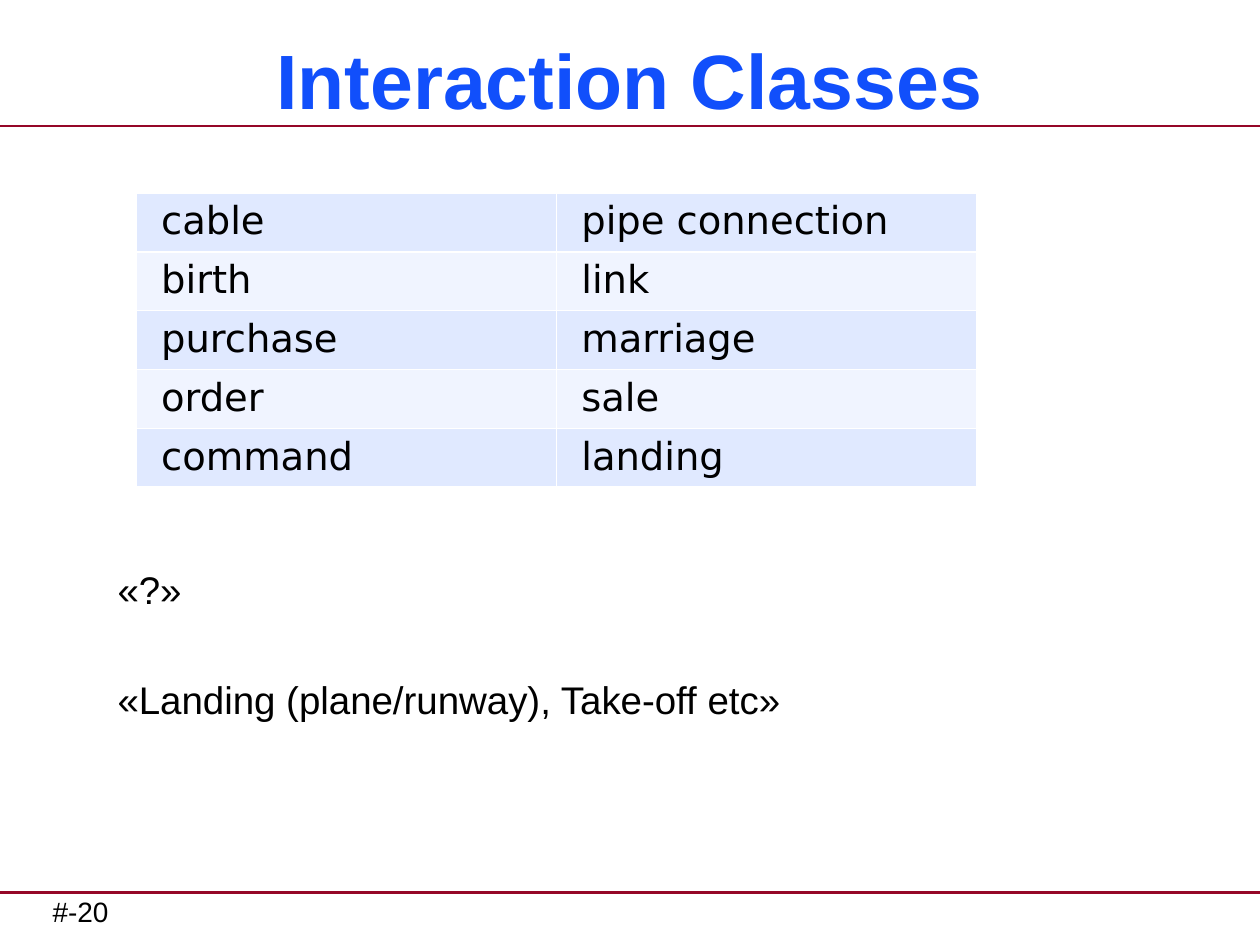
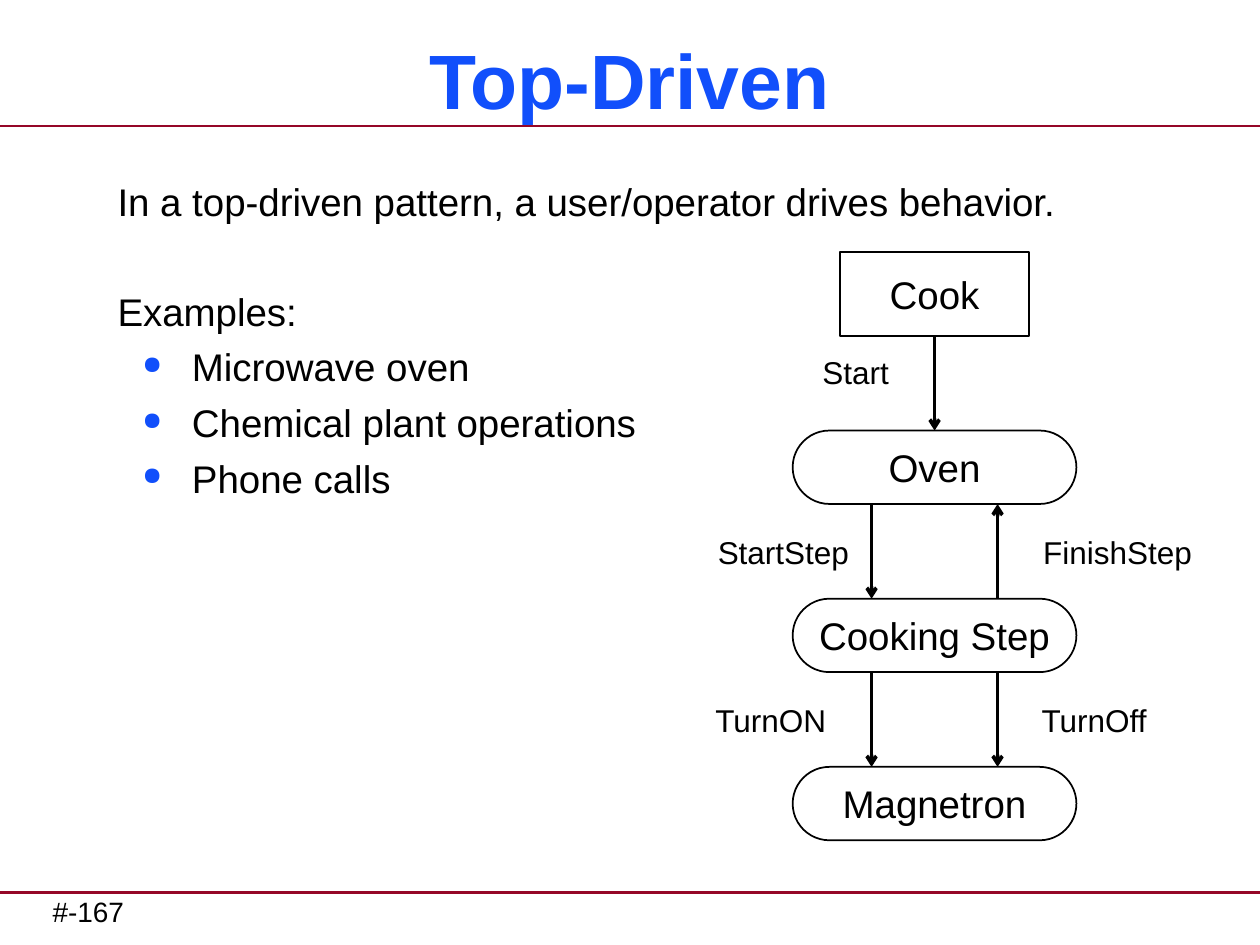
from dataclasses import dataclass
from lxml import etree
from pptx import Presentation
from pptx.dml.color import RGBColor
from pptx.enum.shapes import MSO_CONNECTOR, MSO_SHAPE
from pptx.enum.text import MSO_ANCHOR, PP_ALIGN
from pptx.oxml import parse_xml
from pptx.oxml.ns import nsdecls, qn
from pptx.util import Cm, Pt

RECT = MSO_SHAPE.RECTANGLE
PILL = MSO_SHAPE.ROUNDED_RECTANGLE
LINE = MSO_CONNECTOR.STRAIGHT
MID = MSO_ANCHOR.MIDDLE
TOP = MSO_ANCHOR.TOP
LEFT = PP_ALIGN.LEFT
CENTER = PP_ALIGN.CENTER


@dataclass(frozen=True)
class Theme:
    ink: str = "000000"
    blue: str = "114FFB"
    red: str = "950728"
    white: str = "FFFFFF"
    bands: tuple = ("E0E9FF", "F0F4FF")
    face: str = "Arial"
    grid: str = "DejaVu Sans"
    head: int = 44
    body: int = 22
    label: int = 18
    foot: int = 16
    gap: float = 5.4
    skip: float = 36.1


theme = Theme()
plain = {"name": theme.face, "size": Pt(theme.body), "bold": False}
bold = {**plain, "size": Pt(theme.head), "bold": True}
small = {**plain, "size": Pt(theme.label)}
tiny = {**plain, "size": Pt(theme.foot)}
cells = {**plain, "name": theme.grid}


def write(frame, lines, fmt, hue=theme.ink, align=LEFT, anchor=TOP, wrap=True):
    frame.word_wrap = wrap
    frame.vertical_anchor = anchor
    for i, (text, gap) in enumerate(lines):
        para = frame.paragraphs[0] if i == 0 else frame.add_paragraph()
        para.alignment = align
        para.space_before = Pt(gap)
        run = para.add_run()
        run.text = text
        for key, value in fmt.items():
            setattr(run.font, key, value)
        run.font.color.rgb = RGBColor.from_string(hue)


def draw(slide, start, end, hue, width, arrow=False):
    line = slide.shapes.add_connector(LINE, *map(Cm, start + end))
    line.line.color.rgb = RGBColor.from_string(hue)
    line.line.width = Pt(width)
    if arrow:
        tail = etree.SubElement(line.line._get_or_add_ln(), qn("a:tailEnd"))
        tail.set("type", "arrow")
    etree.SubElement(line._element.spPr, qn("a:effectLst"))


deck = Presentation()
deck.slide_width, deck.slide_height = Cm(25.4), Cm(19.05)
pages = [
    ("Interaction Classes", "#-20", 11.29, [
        ("«?»", 0),
        ("«Landing (plane/runway), Take-off etc»", theme.skip),
    ]),
    ("Top-Driven", "#-167", 3.47, [
        ("In a top-driven pattern, a user/operator drives behavior.", 0),
        ("Examples:", theme.skip),
        ("Microwave oven", theme.gap),
        ("Chemical plant operations", theme.gap),
        ("Phone calls", theme.gap),
    ]),
]
slides, bodies = [], []
for title, number, top, lines in pages:
    slide = deck.slides.add_slide(deck.slide_layouts[6])
    for y in (2.54, 17.99):
        draw(slide, (0, y), (25.4, y), theme.red, 1.5)
    foot = slide.shapes.add_textbox(Cm(1.06), Cm(17.91), Cm(12.28), Cm(0.94))
    foot.text_frame.margin_left = foot.text_frame.margin_right = 0
    write(foot.text_frame, [(number, 0)], tiny)
    head = slide.shapes.add_textbox(Cm(0.42), Cm(0.64), Cm(24.55), Cm(1.9))
    write(head.text_frame, [(title, 0)], bold, theme.blue, CENTER, MID)
    body = slide.shapes.add_textbox(Cm(2.12), Cm(top), Cm(22.44), Cm(17.6 - top))
    write(body.text_frame, lines, plain)
    slides.append(slide)
    bodies.append(body)

classes, driven = slides
words = [
    ("cable", "pipe connection"),
    ("birth", "link"),
    ("purchase", "marriage"),
    ("order", "sale"),
    ("command", "landing"),
]
table = classes.shapes.add_table(
    len(words), 2, Cm(2.75), Cm(3.89), Cm(16.94), Cm(5.8)).table
table.first_row = table.horz_banding = False
for r, pair in enumerate(words):
    for c, word in enumerate(pair):
        cell = table.cell(r, c)
        cell.margin_left = Cm(0.5)
        props = cell._tc.get_or_add_tcPr()
        for side in ("lnL", "lnR", "lnT", "lnB"):
            props.append(parse_xml(
                f'<a:{side} {nsdecls("a")} w="12700"><a:solidFill>'
                f'<a:srgbClr val="{theme.white}"/></a:solidFill></a:{side}>'))
        cell.fill.solid()
        cell.fill.fore_color.rgb = RGBColor.from_string(theme.bands[r % 2])
        write(cell.text_frame, [(word, 0)], cells)

for para in bodies[1].text_frame.paragraphs[2:]:
    props = para._p.get_or_add_pPr()
    props.set("marL", str(Cm(1.5)))
    props.set("indent", str(Cm(-1)))
    color = etree.SubElement(props, qn("a:buClr"))
    etree.SubElement(color, qn("a:srgbClr")).set("val", theme.blue)
    etree.SubElement(props, qn("a:buSzPct")).set("val", "65000")
    etree.SubElement(props, qn("a:buChar")).set("char", "●")

axis, lane, first, pitch, tall = 18.84, 1.27, 8.68, 3.39, 1.48
nodes = [("Cook", RECT, 5.08, 3.81, 1.69)]
for i, name in enumerate(("Oven", "Cooking Step", "Magnetron")):
    nodes.append((name, PILL, first + i * pitch, 5.72, tall))
for name, kind, top, wide, high in nodes:
    node = driven.shapes.add_shape(
        kind, Cm(axis - wide / 2), Cm(top), Cm(wide), Cm(high))
    if kind == PILL:
        node.adjustments[0] = 0.5
    node.shadow.inherit = False
    node.fill.background()
    node.line.color.rgb = RGBColor.from_string(theme.ink)
    node.line.width = Pt(1)
    write(node.text_frame, [(name, 0)], plain, align=CENTER, anchor=MID, wrap=False)

oven, step = first + tall, first + pitch + tall
flows = [
    ("Start", axis, 6.77, first, 16.33, 6.99),
    ("StartStep", axis - lane, oven, first + pitch, 14.22, 10.62),
    ("FinishStep", axis + lane, first + pitch, oven, 20.78, 10.62),
    ("TurnON", axis - lane, step, first + 2 * pitch, 14.17, 14),
    ("TurnOff", axis + lane, step, first + 2 * pitch, 20.75, 14),
]
for name, x, start, end, left, top in flows:
    draw(driven, (x, start), (x, end), theme.ink, 2, True)
    label = driven.shapes.add_textbox(Cm(left), Cm(top), Cm(4.19), Cm(1.02))
    write(label.text_frame, [(name, 0)], small)

deck.save("out.pptx")
